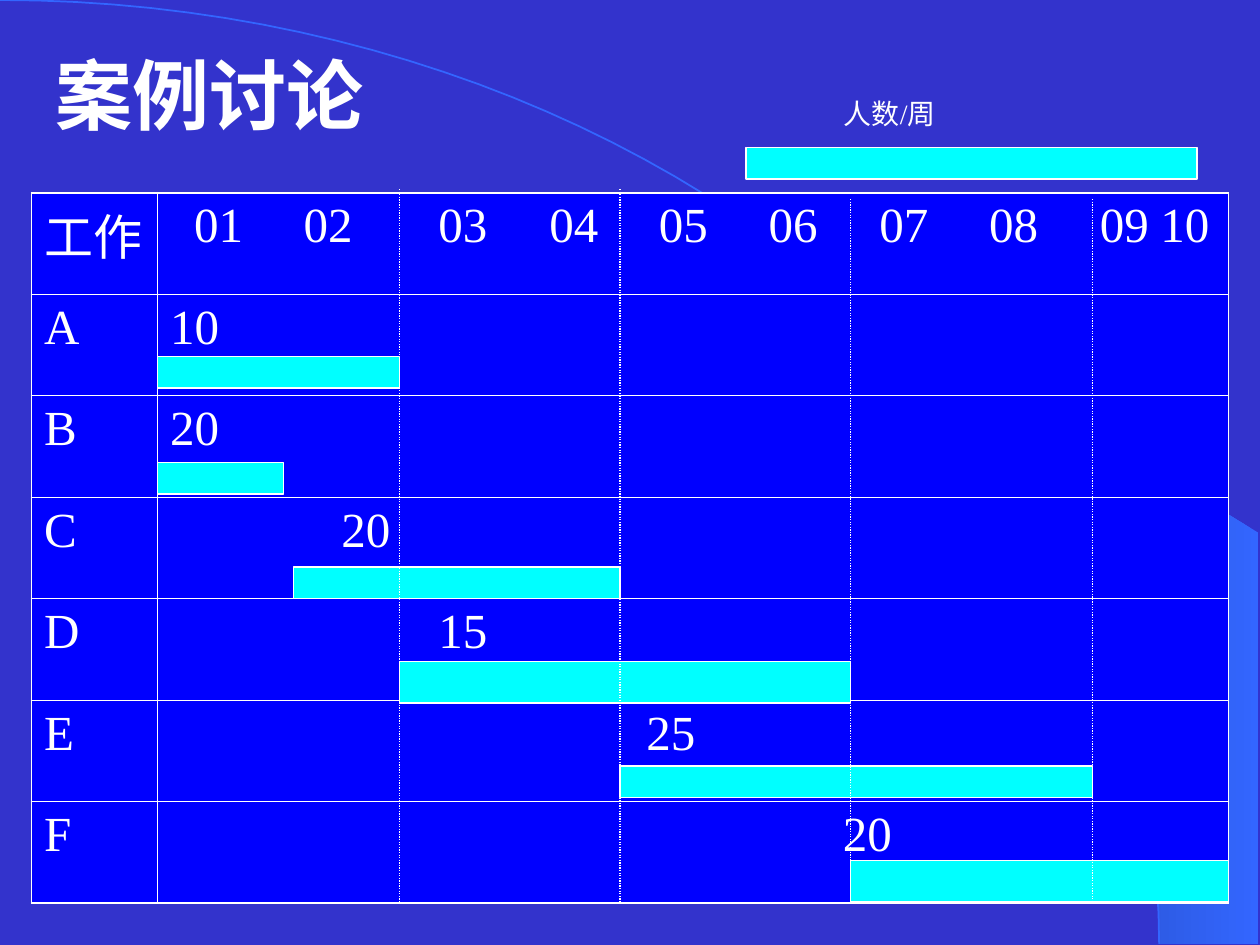
from math import asin, cos, pi, sin

from lxml.etree import SubElement
from pptx import Presentation
from pptx.dml.color import RGBColor
from pptx.enum.dml import MSO_LINE_DASH_STYLE as DASH
from pptx.enum.shapes import MSO_CONNECTOR, MSO_SHAPE
from pptx.enum.text import MSO_AUTO_SIZE
from pptx.oxml.ns import qn
from pptx.util import Inches, Pt

COLORS = {"bg": "3333CC", "cell": "0000FF", "bar": "00FFFF",
          "text": "FFFFFF", "arc": "3366FF", "band_dark": "172F75"}
FONT = "Times New Roman"
ARC_W, ARC_H = 9.2, 7.49
TABLE_X, TABLE_Y, TABLE_W, TABLE_H = 0.25, 1.53, 9.5, 5.64
TASK_W = 1

# Week labels and their tab stops, measured from the cell's text edge
WEEKS = {"01": 0.19, "02": 1.06, "03": 2.13, "04": 3.01, "05": 3.88,
         "06": 4.75, "07": 5.63, "08": 6.5, "09": 7.38, "10": 7.86}
# Task, people per week, indent of the number, bar left, top, right, height
TASKS = [
    ("A", "10", 0, 1.25, 2.83, 3.17, 0.25),
    ("B", "20", 0, 1.25, 3.67, 2.25, 0.25),
    ("C", "20", 1.36, 2.33, 4.5, 4.92, 0.25),
    ("D", "15", 2.13, 3.17, 5.25, 6.75, 0.33),
    ("E", "25", 3.78, 4.92, 6.08, 8.67, 0.25),
    ("F", "20", 5.34, 6.75, 6.83, 9.75, 0.33),
]
# Left and top of the dotted week lines
WEEK_LINES = [(3.17, 1.5), (4.92, 1.5), (6.75, 1.58), (8.67, 1.58)]


def rgb(name):
    return RGBColor.from_string(COLORS[name])


def format_runs(p, size, bold=False):
    for r in p.runs:
        r.font.name = FONT
        r.font.size = Pt(size)
        r.font.bold = bold
        r.font.color.rgb = rgb("text")


def add_text(s, x, y, w, h, text, size, bold=False):
    tf = s.shapes.add_textbox(Inches(x), Inches(y), Inches(w), Inches(h)).text_frame
    tf.word_wrap = True
    tf.auto_size = MSO_AUTO_SIZE.SHAPE_TO_FIT_TEXT
    tf.text = text
    format_runs(tf.paragraphs[0], size, bold)


def arc_points(start_x, steps=48):
    start = asin(start_x / ARC_W)
    angles = [start + (pi / 2 - start) * i / steps for i in range(steps + 1)]
    return [(Inches(ARC_W * sin(a)), Inches(ARC_H * (1 - cos(a)))) for a in angles]


def add_outline(s, points, close):
    builder = s.shapes.build_freeform(*points[0], scale=1.0)
    builder.add_line_segments(points[1:], close=close)
    sp = builder.convert_to_shape()
    sp.shadow.inherit = False
    return sp


def add_background(s):
    s.background.fill.solid()
    s.background.fill.fore_color.rgb = rgb("bg")
    # Shaded band right of the arc
    corners = [(Inches(9.99), Inches(7.49)), (Inches(9.99), Inches(4.23))]
    band = add_outline(s, arc_points(5.89) + corners, True)
    band.fill.gradient()
    band.fill.gradient_angle = 180
    for stop, name in zip(band.fill.gradient_stops, ("arc", "band_dark")):
        stop.color.rgb = rgb(name)
    band.line.fill.background()
    # Thin arc
    arc = add_outline(s, arc_points(0), False)
    arc.fill.background()
    arc.line.color.rgb = rgb("arc")
    arc.line.width = Pt(1)


def set_borders(cell, outer):
    tc_pr = cell._tc.get_or_add_tcPr()
    for i, side in enumerate(("L", "R", "T", "B")):
        width = Pt(1.08 if side in outer else 0.45)
        ln = SubElement(tc_pr, qn(f"a:ln{side}"), w=str(width))
        fill = SubElement(ln, qn("a:solidFill"))
        SubElement(fill, qn("a:srgbClr"), val=COLORS["text"])
        tc_pr.insert(i, ln)


def add_tabs(p, stops):
    tabs = SubElement(p._p.get_or_add_pPr(), qn("a:tabLst"))
    for stop in stops:
        SubElement(tabs, qn("a:tab"), pos=str(Inches(stop)), algn="l")


def add_schedule(s):
    rows = [("工作", "".join("\t" + week for week in WEEKS), 0)]
    rows += [task[:3] for task in TASKS]
    table = s.shapes.add_table(len(rows), 2, Inches(TABLE_X), Inches(TABLE_Y),
                               Inches(TABLE_W), Inches(TABLE_H)).table
    table.first_row = table.horz_banding = False
    table.columns[0].width = Inches(TASK_W)
    table.columns[1].width = Inches(TABLE_W - TASK_W)
    for i, (task, people, indent) in enumerate(rows):
        edge = "T" if i == 0 else "B" if i == len(rows) - 1 else ""
        for j, text in enumerate((task, people)):
            cell = table.cell(i, j)
            cell.fill.solid()
            cell.fill.fore_color.rgb = rgb("cell")
            set_borders(cell, edge + "LR"[j])
            p = cell.text_frame.paragraphs[0]
            p.text = text
            format_runs(p, 28)
            if j and indent:
                p._p.get_or_add_pPr().set("marL", str(Inches(indent)))
    add_tabs(table.cell(0, 1).text_frame.paragraphs[0], WEEKS.values())


def add_bar(s, left, top, right, height):
    sp = s.shapes.add_shape(MSO_SHAPE.RECTANGLE, Inches(left), Inches(top),
                            Inches(right - left), Inches(height))
    sp.shadow.inherit = False
    sp.fill.solid()
    sp.fill.fore_color.rgb = rgb("bar")
    sp.line.color.rgb = rgb("text")
    sp.line.width = Pt(0.75)


def add_week_line(s, x, top):
    line = s.shapes.add_connector(MSO_CONNECTOR.STRAIGHT, Inches(x), Inches(top),
                                  Inches(x), Inches(TABLE_Y + TABLE_H))
    line.line.color.rgb = rgb("text")
    line.line.width = Pt(0.75)
    line.line.dash_style = DASH.ROUND_DOT
    SubElement(line._element.spPr, qn("a:effectLst"))


def main():
    prs = Presentation()
    prs.slide_width, prs.slide_height = Inches(10), Inches(7.5)
    s = prs.slides.add_slide(prs.slide_layouts[6])
    add_background(s)

    # Schedule with one bar per task
    add_schedule(s)
    for task in TASKS:
        add_bar(s, *task[3:])

    # Title, week lines and legend
    add_text(s, 0.34, 0.33, 2.75, 0.84, "案例讨论", 44, bold=True)
    for x, top in WEEK_LINES:
        add_week_line(s, x, top)
    add_bar(s, 5.92, 1.17, 9.5, 0.25)
    add_text(s, 6.6, 0.72, 1.1, 0.37, "人数/周", 16)

    prs.save("out.pptx")


if __name__ == "__main__":
    main()
